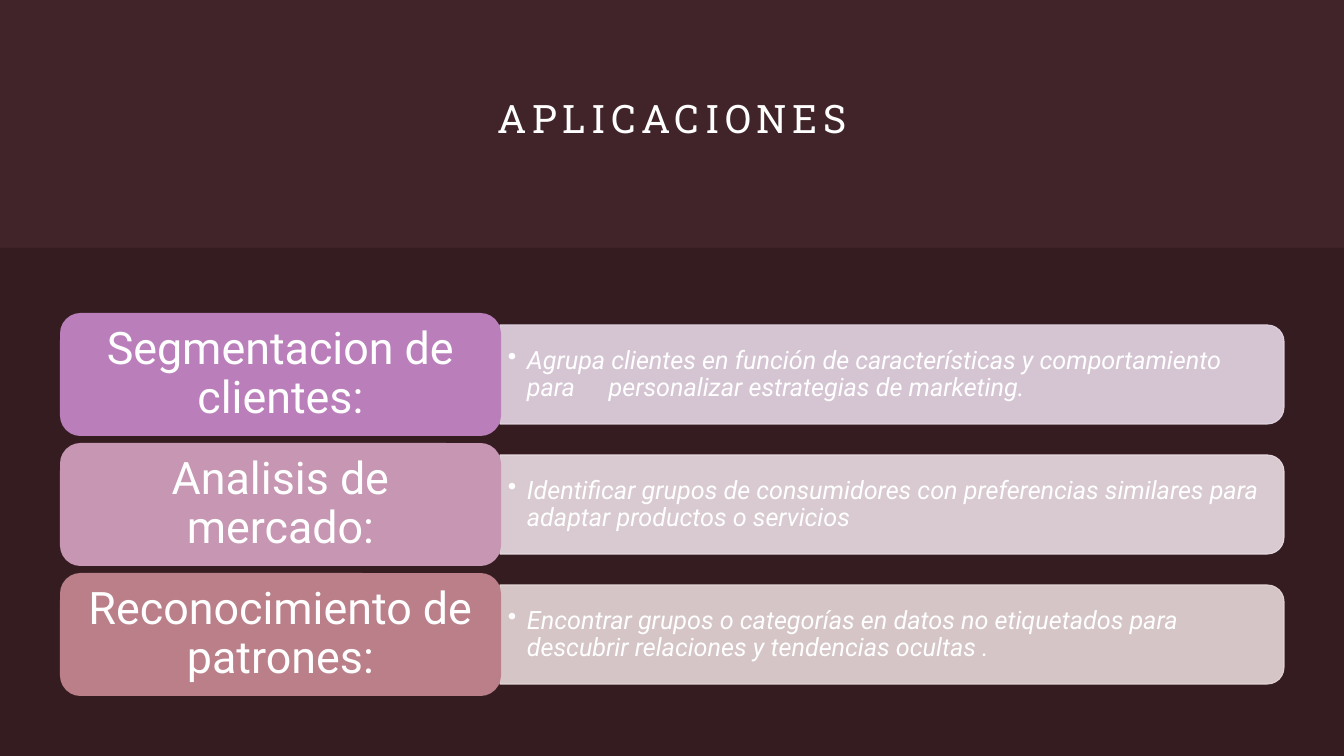
from lxml.etree import SubElement
from pptx import Presentation
from pptx.dml.color import RGBColor
from pptx.enum.shapes import MSO_SHAPE
from pptx.enum.text import MSO_ANCHOR, PP_ALIGN
from pptx.oxml.ns import qn
from pptx.util import Pt

SCALE = 914400 / 100.8
COLORS = {"back": "412429", "lower": "341C20", "text": "FFFFFF"}
ROWS = [
    ("Segmentacion de clientes:", "BA7FBA", "E7D8E7",
     "Agrupa clientes en función de características y comportamiento "
     "para \tpersonalizar estrategias de marketing."),
    ("Analisis de mercado:", "C696B2", "EADDE4",
     "Identificar grupos de consumidores con preferencias similares "
     "para adaptar productos o servicios"),
    ("Reconocimiento de patrones:", "BA7F88", "E7D8DA",
     "Encontrar grupos o categorías en datos no etiquetados "
     "para descubrir relaciones y tendencias ocultas ."),
]


def px(n):
    return round(n * SCALE)


class Deck:
    """Holds the style and the current slide, and draws its elements."""

    def __init__(self):
        self.prs = Presentation()
        self.prs.slide_width, self.prs.slide_height = px(1344), px(756)
        self.slide = self.prs.slides.add_slide(self.prs.slide_layouts[5])
        self.paint(self.slide.background.fill, COLORS["back"])

    def paint(self, fill, color, alpha=100):
        fill.solid()
        fill.fore_color.rgb = RGBColor.from_string(color)
        if alpha < 100:
            node = next(fill._xPr.iter(qn("a:srgbClr")))
            SubElement(node, qn("a:alpha")).set("val", str(alpha * 1000))

    def letter(self, shape, text, size, font="Roboto", pad=(0, 0)):
        frame = shape.text_frame
        frame.word_wrap = True
        frame.vertical_anchor = MSO_ANCHOR.MIDDLE
        frame.margin_left = frame.margin_right = px(pad[0])
        frame.margin_top = frame.margin_bottom = px(pad[1])
        para = frame.paragraphs[0]
        para.text = text
        para.alignment = PP_ALIGN.CENTER
        para.line_spacing = 0.9
        para.font.name = font
        para.font.size = Pt(size)
        para.font.color.rgb = RGBColor.from_string(COLORS["text"])
        return para

    def title(self, text, *box):
        shape = self.slide.shapes.title
        shape.left, shape.top, shape.width, shape.height = map(px, box)
        para = self.letter(shape, text, 28, "Roboto Slab")
        para.runs[0]._r.get_or_add_rPr().set("spc", "400")

    def shape(self, kind, color, *box):
        shape = self.slide.shapes.add_shape(kind, *map(px, box))
        shape.shadow.inherit = False
        self.paint(shape.fill, color)
        shape.line.fill.background()
        return shape

    def bar(self, color, left, top, width, height):
        shift = (width - height) / 2
        shape = self.shape(MSO_SHAPE.ROUND_2_SAME_RECTANGLE, color,
                           left + shift, top - shift, height, width)
        shape.rotation = 90
        self.paint(shape.fill, color, 90)
        self.paint(shape.line.fill, color, 90)
        shape.line.width = Pt(0.75)

    def bullet(self, text, *box):
        shape = self.slide.shapes.add_textbox(*map(px, box))
        para = self.letter(shape, text, 18, pad=(7, 4))
        para.alignment = PP_ALIGN.LEFT
        para.font.italic = True
        props = para._p.get_or_add_pPr()
        props.set("marL", str(px(19)))
        props.set("indent", str(px(-19)))
        mark = props.makeelement(qn("a:buChar"), {"char": "•"})
        props.find(qn("a:defRPr")).addprevious(mark)

    def label(self, text, color, *box):
        shape = self.shape(MSO_SHAPE.ROUNDED_RECTANGLE, color, *box)
        self.letter(shape, text, 32, pad=(13, 7))


def main():
    deck = Deck()
    deck.title("APLICACIONES", 119, 59, 1106, 124)
    deck.shape(MSO_SHAPE.RECTANGLE, COLORS["lower"], 0, 248, 1344, 508)
    for i, (name, dark, light, text) in enumerate(ROWS):
        top = 313 + 130 * i
        deck.bar(light, 500, top + 12, 784, 99)
        deck.bullet(text, 501, top + 17, 779, 89)
        deck.label(name, dark, 60, top, 441, 123)
    deck.prs.save("out.pptx")


if __name__ == "__main__":
    main()
